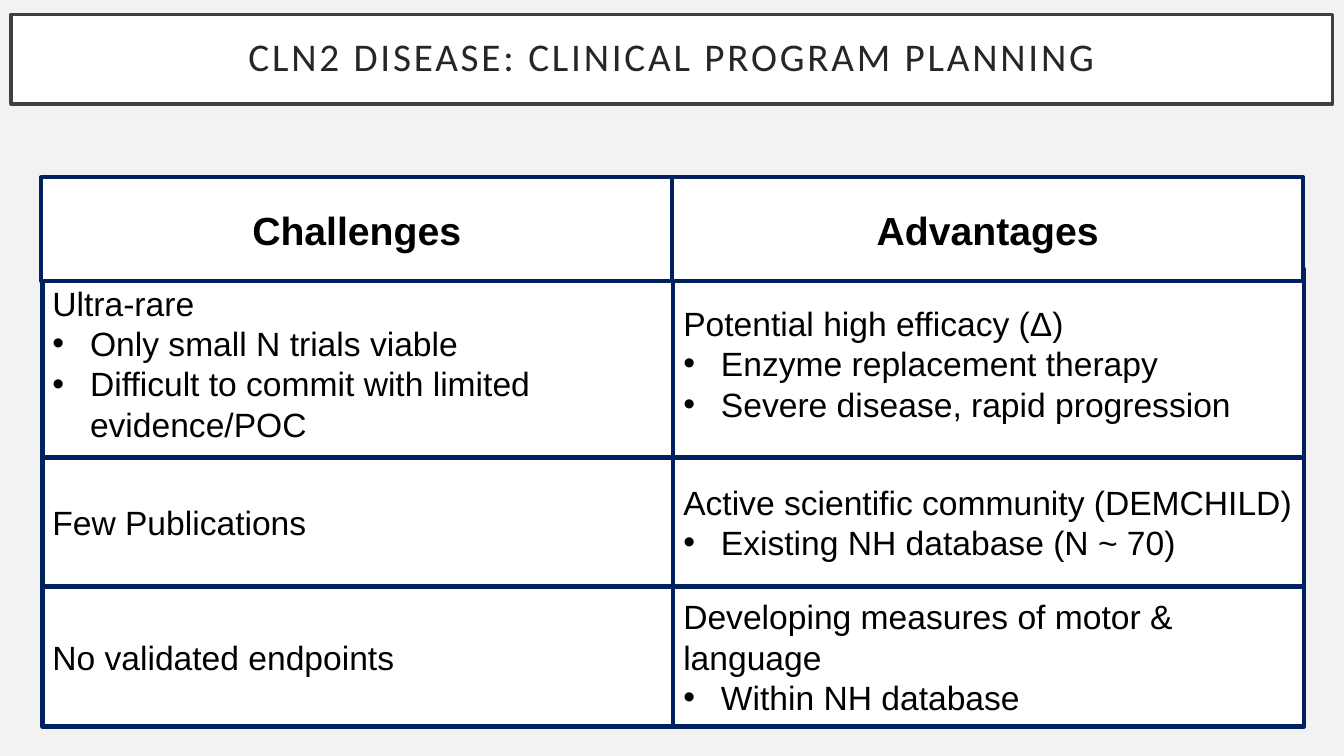
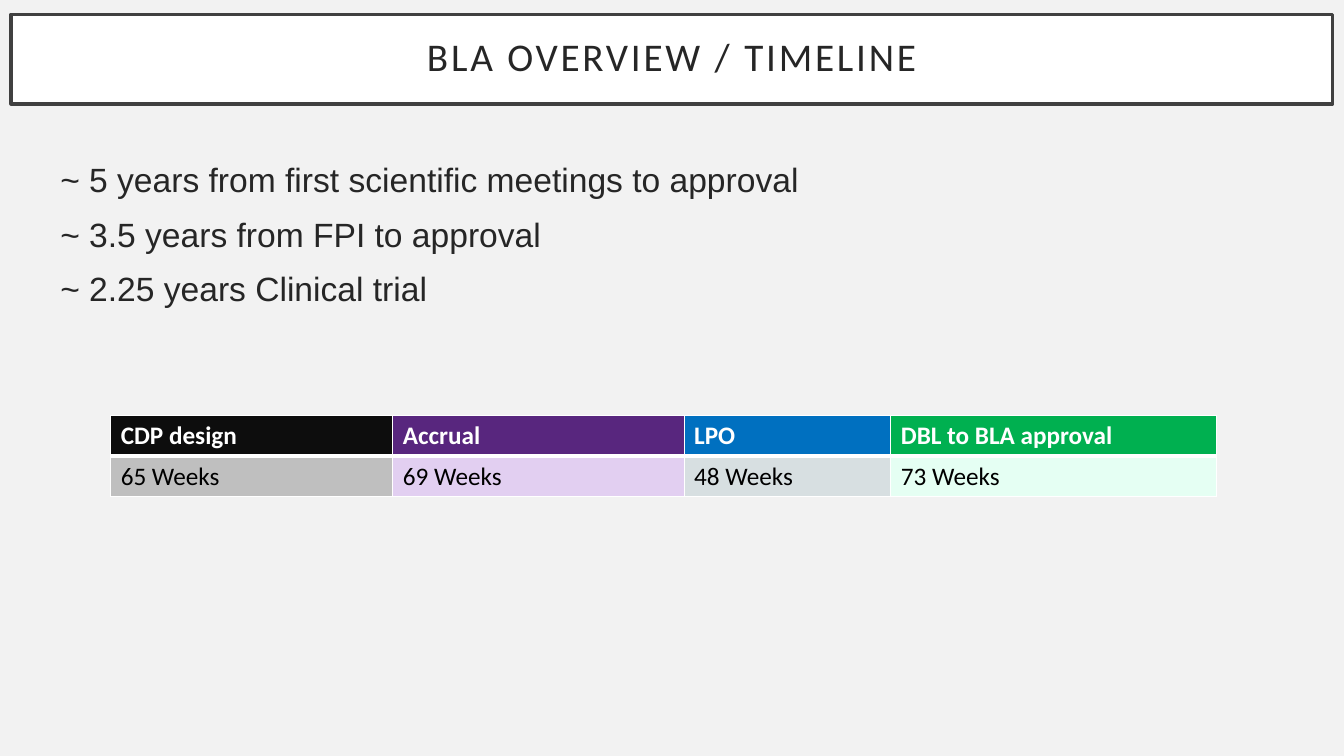
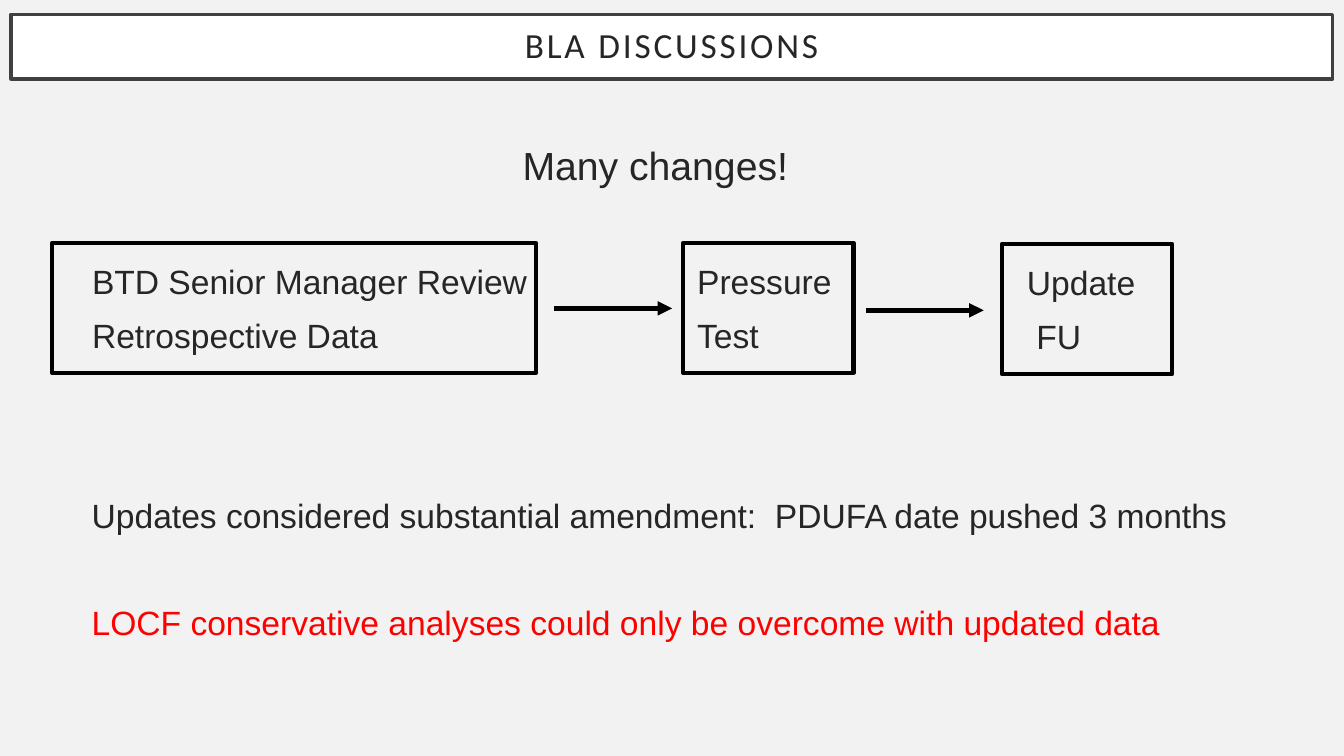
"""Build three slides on the planning and review of a clinical program."""
from dataclasses import dataclass
from typing import NamedTuple

from lxml import etree
from pptx import Presentation
from pptx import util as u
from pptx.dml.color import RGBColor
from pptx.enum import shapes, text
from pptx.oxml import ns

WHITE = RGBColor(0xFF, 0xFF, 0xFF)
BLACK = RGBColor(0x00, 0x00, 0x00)
RED = RGBColor(0xFF, 0x00, 0x00)
NAVY = RGBColor(0x00, 0x20, 0x60)
INK = RGBColor(0x26, 0x26, 0x26)
FRAME = RGBColor(0x40, 0x40, 0x40)
PAPER = RGBColor(0xF2, 0xF2, 0xF2)
BODY_FONT, TITLE_FONT = "Arial", "Calibri"
HANGING = 0.95
LEFT, CENTER = text.PP_ALIGN.LEFT, text.PP_ALIGN.CENTER


class Box(NamedTuple):
    """Place and size in centimetres."""
    left: float
    top: float
    width: float
    height: float

    def lengths(self) -> list[u.Cm]:
        return [u.Cm(v) for v in self]


@dataclass(frozen=True)
class Style:
    """Look of a block of text."""
    size: float = 24
    color: RGBColor = INK
    font: str = BODY_FONT
    bold: bool = False
    align: text.PP_ALIGN = LEFT
    gap: float = 0


@dataclass(frozen=True)
class Row:
    """One grid row: height and the lines of its two cells."""
    height: float
    cells: tuple[list[str], list[str]]


@dataclass(frozen=True)
class Step:
    """One framed step of a flow."""
    box: Box
    lines: list[str]
    inset: float
    last_indent: float = 0


@dataclass(frozen=True)
class Arrow:
    """A level arrow in centimetres."""
    start: float
    end: float
    y: float


@dataclass(frozen=True)
class Phase:
    """One column of the timeline table."""
    name: str
    duration: str
    width: float
    dark: RGBColor
    light: RGBColor


CELL = Style(color=BLACK)
HEADING = Style(size=28, color=BLACK, bold=True, align=CENTER)
LIST = Style(gap=10)

GRID_LEFT, GRID_TOP, GRID_COLUMN = 1.07, 6.78, 15.9
HEADER = Box(1.04, 4.47, GRID_COLUMN, 2.62)
ROWS = [
    Row(4.75, (["Ultra-rare", "Only small N trials viable",
                "Difficult to commit with limited evidence/POC"],
               ["Potential high efficacy (Δ)", "Enzyme replacement therapy",
                "Severe disease, rapid progression"])),
    Row(3.25, (["Few Publications"],
               ["Active scientific community (DEMCHILD)",
                "Existing NH database (N ~ 70)"])),
    Row(3.53, (["No validated endpoints"],
               ["Developing measures of motor & language",
                "Within NH database"])),
]
PHASES = [
    Phase("CDP design", "65 Weeks", 7.11,
          RGBColor(0x0D, 0x0D, 0x0D), RGBColor(0xBF, 0xBF, 0xBF)),
    Phase("Accrual", "69 Weeks", 7.34,
          RGBColor(0x58, 0x26, 0x7E), RGBColor(0xE2, 0xCF, 0xF1)),
    Phase("LPO", "48 Weeks", 5.21,
          RGBColor(0x00, 0x70, 0xC0), RGBColor(0xD7, 0xDF, 0xE1)),
    Phase("DBL to BLA approval", "73 Weeks", 8.2,
          RGBColor(0x00, 0xB0, 0x50), RGBColor(0xE5, 0xFF, 0xF3)),
]
STEPS = [
    Step(Box(1.32, 6.12, 12.19, 3.28),
         ["BTD Senior Manager Review", "Retrospective Data"], 1),
    Step(Box(17.22, 6.12, 4.29, 3.28), ["Pressure", "Test"], 0.35),
    Step(Box(25.25, 6.15, 4.29, 3.28), ["Update", "FU"], 0.63, 0.24),
]
ARROWS = [Arrow(13.97, 16.94, 7.77), Arrow(21.82, 24.79, 7.82)]


def write(tf, lines: list[str], style: Style) -> None:
    """Fill a text frame with paragraphs of one style."""
    tf.word_wrap = True
    tf.text = "\n".join(lines)
    for i, p in enumerate(tf.paragraphs):
        p.alignment = style.align
        if i and style.gap:
            p.space_before = u.Pt(style.gap)
        for r in p.runs:
            r.font.name, r.font.size = style.font, u.Pt(style.size)
            r.font.bold, r.font.color.rgb = style.bold, style.color


def add_bullet(p) -> None:
    """Give a paragraph a round bullet with a hanging indent."""
    pPr = p._p.get_or_add_pPr()
    pPr.set("marL", str(u.Cm(HANGING)))
    pPr.set("indent", str(-u.Cm(HANGING)))
    etree.SubElement(pPr, ns.qn("a:buFont")).set("typeface", "Arial")
    etree.SubElement(pPr, ns.qn("a:buChar")).set("char", "•")


def add_rect(s, box: Box, line: RGBColor, weight: float,
             fill: RGBColor | None = None):
    """Draw a framed rectangle."""
    sp = s.shapes.add_shape(shapes.MSO_SHAPE.RECTANGLE, *box.lengths())
    sp.shadow.inherit = False
    if fill is None:
        sp.fill.background()
    else:
        sp.fill.solid()
        sp.fill.fore_color.rgb = fill
    sp.line.color.rgb, sp.line.width = line, u.Pt(weight)
    sp.text_frame.vertical_anchor = text.MSO_ANCHOR.MIDDLE
    return sp


def add_text(s, box: Box, lines: list[str], style: Style):
    """Add a text box and return its frame."""
    tf = s.shapes.add_textbox(*box.lengths()).text_frame
    write(tf, lines, style)
    return tf


def add_slide(prs, title: str, height: float = 2.26, size: float = 28):
    """Add a slide with the shared background and title band."""
    s = prs.slides.add_slide(prs.slide_layouts[6])
    s.background.fill.solid()
    s.background.fill.fore_color.rgb = PAPER
    sp = add_rect(s, Box(0.28, 0.36, 33.3, height), FRAME, 2.5, WHITE)
    tf = sp.text_frame
    tf.margin_left = tf.margin_right = u.Cm(0.51)
    tf.margin_top = tf.margin_bottom = u.Cm(0.51)
    write(tf, [title], Style(size, INK, TITLE_FONT, align=CENTER))
    p = tf.paragraphs[0]
    p.line_spacing = 0.9
    p.runs[0]._r.get_or_add_rPr().set("spc", "200")
    return s


def add_cell(s, box: Box, lines: list[str], style: Style) -> None:
    """Draw one grid cell, with bullets after its first line."""
    tf = add_rect(s, box, NAVY, 3, WHITE).text_frame
    write(tf, lines, style)
    for p in tf.paragraphs[1:]:
        add_bullet(p)


def add_border(cell, side: str, weight: float) -> None:
    """Add a white border to one side of a table cell."""
    ln = etree.SubElement(cell._tc.get_or_add_tcPr(), ns.qn(f"a:ln{side}"))
    ln.set("w", str(u.Pt(weight)))
    fill = etree.SubElement(ln, ns.qn("a:solidFill"))
    etree.SubElement(fill, ns.qn("a:srgbClr")).set("val", str(WHITE))


def add_timeline(s, box: Box) -> None:
    """Draw the table of phases and durations."""
    table = s.shapes.add_table(2, len(PHASES), *box.lengths()).table
    for col, phase in enumerate(PHASES):
        table.columns[col].width = u.Cm(phase.width)
        looks = [(phase.name, phase.dark, WHITE), (phase.duration, phase.light, BLACK)]
        for row, (label, fill, color) in enumerate(looks):
            cell = table.cell(row, col)
            weights = {"L": 1, "R": 1, "T": 3 if row else 1, "B": 1 if row else 3}
            for side, weight in weights.items():
                add_border(cell, side, weight)
            cell.fill.solid()
            cell.fill.fore_color.rgb = fill
            write(cell.text_frame, [label], Style(18, color, TITLE_FONT, row == 0))


def add_arrow(s, arrow: Arrow) -> None:
    """Draw a level arrow with a triangular head."""
    y = u.Cm(arrow.y)
    cx = s.shapes.add_connector(shapes.MSO_CONNECTOR.STRAIGHT,
                                u.Cm(arrow.start), y, u.Cm(arrow.end), y)
    cx.line.color.rgb, cx.line.width = BLACK, u.Pt(3.5)
    ln = cx.line._get_or_add_ln()
    etree.SubElement(ln, ns.qn("a:tailEnd")).set("type", "triangle")
    etree.SubElement(cx._element.spPr, ns.qn("a:effectLst"))


def add_step(s, step: Step) -> None:
    """Draw a framed step with its lines inside."""
    tf = add_rect(s, step.box, BLACK, 3).text_frame
    tf.margin_left, tf.margin_right = u.Cm(step.inset), 0
    write(tf, step.lines, LIST)
    if step.last_indent:
        pPr = tf.paragraphs[-1]._p.get_or_add_pPr()
        pPr.set("marL", str(u.Cm(step.last_indent)))


def build_planning(prs) -> None:
    """Challenges set against advantages."""
    s = add_slide(prs, "CLN2 DISEASE: CLINICAL PROGRAM PLANNING")
    top = GRID_TOP
    for row in ROWS:
        for col, lines in enumerate(row.cells):
            left = GRID_LEFT + col * GRID_COLUMN
            add_cell(s, Box(left, top, GRID_COLUMN, row.height), lines, CELL)
        top += row.height
    for col, label in enumerate(["Challenges", "Advantages"]):
        box = HEADER._replace(left=HEADER.left + col * GRID_COLUMN)
        add_cell(s, box, [label], HEADING)


def build_overview(prs) -> None:
    """Key durations and the timeline table."""
    s = add_slide(prs, "BLA OVERVIEW / TIMELINE")
    add_text(s, Box(1.27, 3.89, 31.32, 5), [
        "~ 5 years from first scientific meetings to approval",
        "~ 3.5 years from FPI to approval",
        "~ 2.25 years Clinical trial"], LIST)
    add_timeline(s, Box(2.79, 10.46, sum(p.width for p in PHASES), 2.06))


def build_discussions(prs) -> None:
    """Flow of changes and its consequences."""
    s = add_slide(prs, "BLA DISCUSSIONS", 1.63, 25.2)
    add_text(s, Box(12.92, 3.43, 9, 1.5), ["Many changes!"], Style(size=28))
    for step in STEPS:
        add_step(s, step)
    for arrow in ARROWS:
        add_arrow(s, arrow)
    tf = add_text(s, Box(2.06, 12.34, 31.06, 4.5), [
        "Updates considered substantial amendment:  PDUFA date pushed 3 months",
        "LOCF conservative analyses could only be overcome with updated data"],
        Style(gap=48))
    tf.paragraphs[1].runs[0].font.color.rgb = RED


def main() -> None:
    """Build and save the presentation."""
    prs = Presentation()
    prs.slide_width, prs.slide_height = u.Cm(33.87), u.Cm(19.05)
    for build in (build_planning, build_overview, build_discussions):
        build(prs)
    prs.save("out.pptx")


if __name__ == "__main__":
    main()
